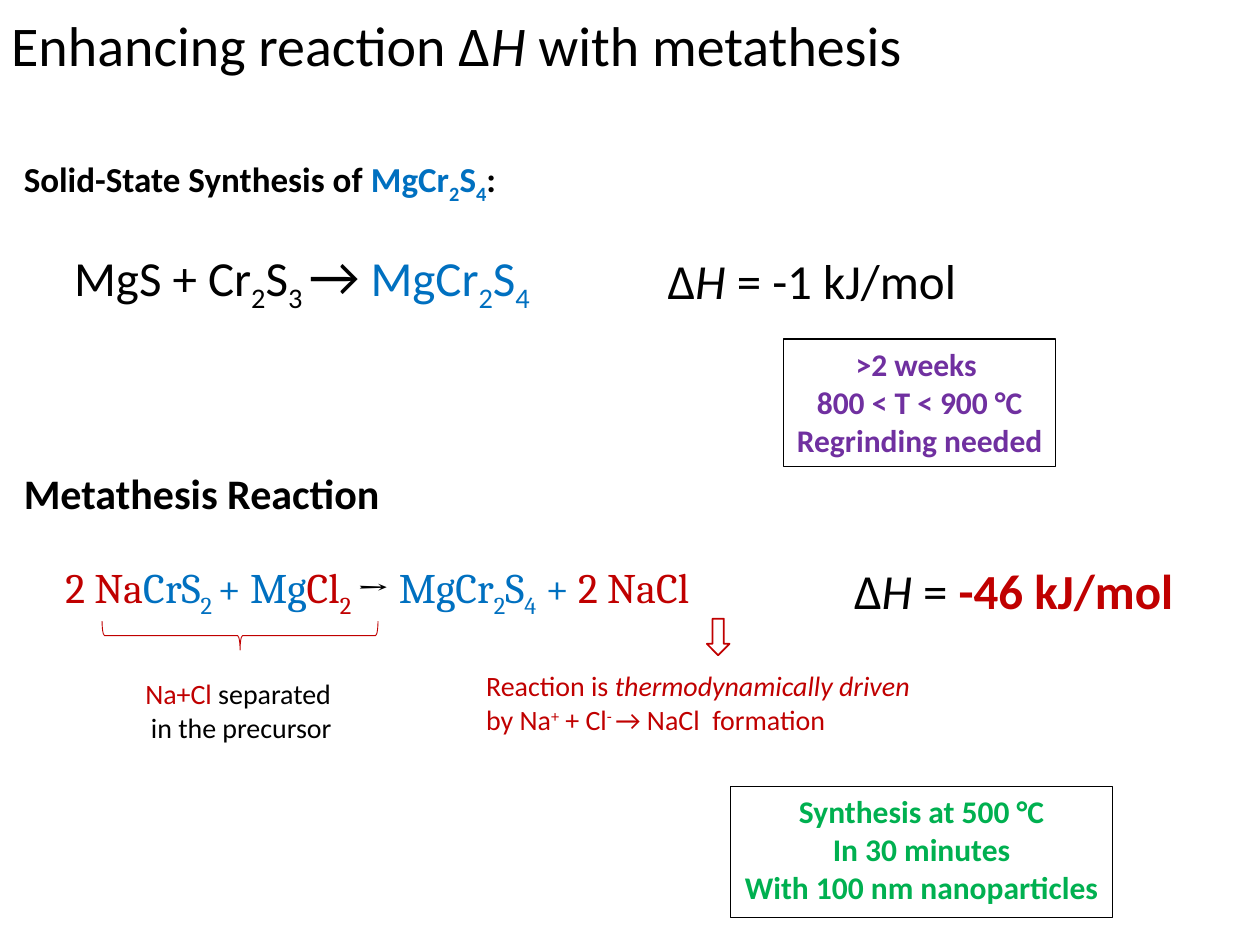
import pptx
import pptx.util
import pptx.dml.color
import pptx.enum.shapes
import pptx.enum.text
from pptx.util import Inches

BLACK, BLUE, RED = "000000", "0070C0", "C00000"
PURPLE, GREEN = "7030A0", "00B050"
SHAPE = pptx.enum.shapes.MSO_SHAPE
ALIGN = pptx.enum.text.PP_ALIGN
ANCHOR = pptx.enum.text.MSO_ANCHOR
FIT = pptx.enum.text.MSO_AUTO_SIZE
BASE = {"~": "-25000", "^": "30000"}


def paint(code):
    return pptx.dml.color.RGBColor.from_string(code)


def place(box, left, top, width, height):
    """Turn a place inside the box into lengths on the slide."""
    return (box[0] + Inches(left), box[1] + Inches(top),
            Inches(width), Inches(height))


def chunks(text):
    """Yield pieces with their marks: * italic, ~ subscript, ^ superscript."""
    marks, piece = set(), ""
    for char in text:
        if char in "*~^":
            if piece:
                yield piece, set(marks)
            marks ^= {char}
            piece = ""
        else:
            piece += char
    if piece:
        yield piece, marks


def write(shape, *lines, size=18, color=BLACK, font="Calibri", bold=False,
          align=ALIGN.LEFT, wrap=False, anchor=ANCHOR.TOP, grow=True,
          space=None, after=None):
    """Write lines, each a list of (text, changes) runs or a plain string."""
    frame = shape.text_frame
    frame.word_wrap = wrap
    frame.vertical_anchor = anchor
    frame.auto_size = FIT.SHAPE_TO_FIT_TEXT if grow else FIT.NONE
    for i, line in enumerate(lines):
        para = frame.add_paragraph() if i else frame.paragraphs[0]
        para.alignment = align
        if space:
            para.line_spacing = space
        if after:
            para.space_after = pptx.util.Pt(after)
        for text, change in [(line, {})] if isinstance(line, str) else line:
            if text == "\n":
                para.add_line_break()
                continue
            for piece, marks in chunks(text):
                run = para.add_run()
                run.text = piece
                run.font.name = font
                run.font.size = pptx.util.Pt(change.get("size", size))
                run.font.bold = change.get("bold", bold)
                run.font.italic = "*" in marks
                run.font.color.rgb = paint(change.get("color", color))
                for mark in marks & set(BASE):
                    run.font._element.set("baseline", BASE[mark])


def label(slide, spot, *lines, **style):
    write(slide.shapes.add_textbox(*spot), *lines, **style)


def outline(slide, kind, spot, color, width):
    shape = slide.shapes.add_shape(kind, *spot)
    shape.shadow.inherit = False
    shape.fill.background()
    shape.line.color.rgb = paint(color)
    shape.line.width = pptx.util.Pt(width)
    return shape


def card(slide, spot, *lines, color):
    shape = outline(slide, SHAPE.RECTANGLE, spot, BLACK, 0.75)
    write(shape, *lines, color=color, bold=True, align=ALIGN.CENTER)


def title(slide, box):
    label(slide, place(box, 0, 0, 8.62, 0.75),
          "Enhancing reaction Δ*H* with metathesis", size=32, wrap=True,
          anchor=ANCHOR.MIDDLE, grow=False, space=0.9)


def solid(slide, box):
    blue = ("MgCr~2~S~4~", {"color": BLUE})
    label(slide, place(box, 0.09, 0, 4.69, 0.44),
          [("Solid-State Synthesis of ", {}), blue, (":", {})],
          size=20, bold=True)
    label(slide, place(box, 0.49, 0.66, 6.99, 0.64),
          [("MgS + Cr~2~S~3 ~", {}), ("→", {"size": 32}), (" ", {}), blue],
          size=28, wrap=True)
    label(slide, place(box, 5.2, 0.71, 2.52, 0.61),
          "Δ*H* = -1 kJ/mol", size=28, space=1.07, after=8)
    card(slide, place(box, 6.22, 1.49, 2.16, 1.01),
         ">2 weeks ", "800 < T < 900 °C", "Regrinding needed", color=PURPLE)


def swap(slide, box):
    """Place the metathesis reaction, its remarks and its result."""
    red, black = {"color": RED}, {"color": BLACK}
    label(slide, place(box, 0.09, 0, 3.55, 0.5), "Metathesis Reaction",
          size=24, bold=True)
    label(slide, place(box, 0.42, 0.75, 7.13, 0.5),
          [("2 Na", red), ("CrS~2 ~+ Mg", {}), ("Cl~2 ~", red), ("→", black),
           (" MgCr~2~S~4~ + ", {}), ("2 NaCl", red)],
          size=24, color=BLUE, font="Cambria", wrap=True)
    label(slide, place(box, 6.68, 0.71, 2.77, 0.61),
          [("Δ*H* = ", {}), ("-46 kJ/mol", {"color": RED, "bold": True})],
          size=28, space=1.07, after=8)

    brace = outline(slide, SHAPE.RIGHT_BRACE,
                    place(box, 1.79, 0.29, 0.23, 2.19), RED, 0.5)
    brace.rotation = 90
    label(slide, place(box, 0.94, 1.66, 1.95, 0.64),
          [("Na+Cl", red), (" separated ", {}), ("\n", {}),
           ("in the precursor", {})], size=16, align=ALIGN.CENTER)

    outline(slide, SHAPE.DOWN_ARROW,
            place(box, 5.61, 1.25, 0.18, 0.29), RED, 1)
    label(slide, place(box, 3.76, 1.6, 4.85, 0.64),
          "Reaction is *thermodynamically driven*",
          "by Na^+^ + Cl^- ^→ NaCl  formation",
          size=16, color=RED, wrap=True)
    card(slide, place(box, 5.8, 2.58, 3.03, 1.04),
         "Synthesis at 500 °C", "In 30 minutes", "With 100 nm nanoparticles",
         color=GREEN)


def main():
    deck = pptx.Presentation()
    deck.slide_width, deck.slide_height = Inches(10), Inches(7.5)
    slide = deck.slides.add_slide(deck.slide_layouts[6])
    title(slide, (Inches(-0.01), Inches(0.01)))
    solid(slide, (Inches(0), Inches(1.2)))
    swap(slide, (Inches(0), Inches(3.66)))
    deck.save("out.pptx")


if __name__ == "__main__":
    main()
